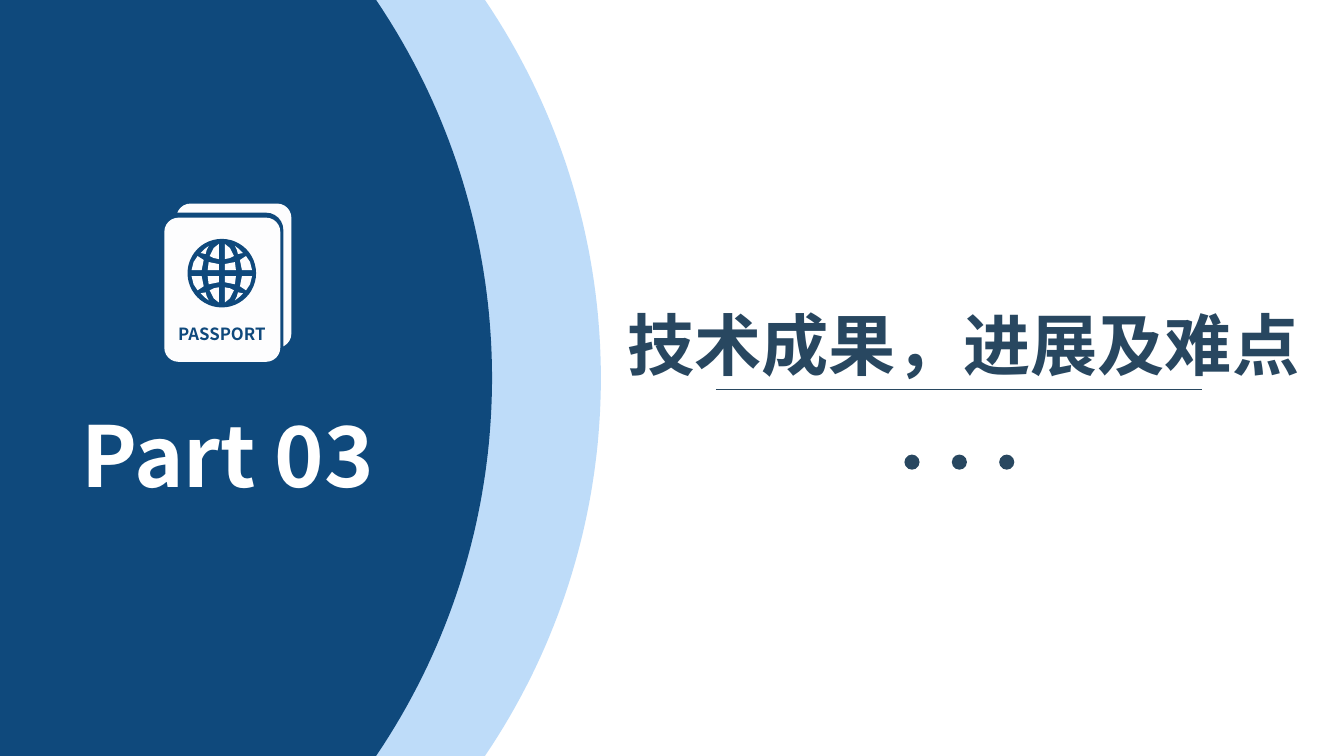
from dataclasses import dataclass
from itertools import product
from math import sqrt

from lxml import etree
from pptx import Presentation
from pptx.dml.color import RGBColor
from pptx.enum.shapes import MSO_CONNECTOR, MSO_SHAPE
from pptx.enum.text import MSO_ANCHOR, PP_ALIGN
from pptx.oxml.ns import qn
from pptx.util import Emu, Pt

PX = 9144
WIDTH, HEIGHT = 1333, 750
FONT = "Noto Sans CJK SC"
NAVY, SKY, SLATE = "0F497C", "BEDCF9", "284760"
WHITE, PAPER = "FFFFFF", "FDFDFE"
OVAL, ROUND = MSO_SHAPE.OVAL, MSO_SHAPE.ROUNDED_RECTANGLE
STRAIGHT = MSO_CONNECTOR.STRAIGHT
CENTER, MIDDLE = PP_ALIGN.CENTER, MSO_ANCHOR.MIDDLE


@dataclass
class Box:
    left: int
    top: int
    width: int
    height: int


@dataclass
class Band:
    edge: int
    color: str


@dataclass
class Card:
    box: Box
    curve: int
    color: str


@dataclass
class Label:
    box: Box
    text: str
    size: int
    color: str


@dataclass
class Globe:
    x: int
    y: int
    radius: int
    cells: list[list[tuple[int, int]]]


@dataclass
class Line:
    start: tuple[int, int]
    end: tuple[int, int]
    color: str
    weight: float


BANDS = [Band(596, SKY), Band(488, NAVY)]
CARDS = [
    Card(Box(175, 202, 114, 143), 14, PAPER),
    Card(Box(160, 211, 121, 151), 17, NAVY),
    Card(Box(163, 216, 115, 143), 14, PAPER),
]
GLOBE = Globe(220, 271, 34, [
    [(3, 3), (14, 3), (13, 11), (8, 10), (3, 9)],
    [(20, 3), (30, 3), (28, 11), (24, 17), (18, 13), (19, 8)],
    [(3, 14), (8, 15), (12, 17), (8, 25), (3, 29)],
    [(13, 27), (17, 24), (21, 20), (16, 19), (15, 23)],
])
LABELS = [
    Label(Box(48, 395, 356, 111), "Part 03", 60, WHITE),
    Label(Box(154, 319, 132, 24), "PASSPORT", 12, NAVY),
    Label(Box(608, 295, 695, 91), "技术成果，进展及难点", 48, SLATE),
]
RULE = Line((710, 386), (1192, 386), SLATE, 0.5)


def px(value: float) -> Emu:
    return Emu(round(value * PX))


def rgb(color: str) -> RGBColor:
    return RGBColor.from_string(color)


def paint(shape, color: str) -> None:
    shape.shadow.inherit = False
    shape.fill.solid()
    shape.fill.fore_color.rgb = rgb(color)
    shape.line.fill.background()


def add_preset(slide, kind, box: Box, color: str):
    shape = slide.shapes.add_shape(
        kind, px(box.left), px(box.top), px(box.width), px(box.height))
    paint(shape, color)
    return shape


def add_path(slide, points: list[tuple[float, float]], color: str) -> None:
    spots = [(px(x), px(y)) for x, y in points]
    path = slide.shapes.build_freeform(*spots[0])
    path.add_line_segments(spots[1:], close=True)
    paint(path.convert_to_shape(), color)


def add_band(slide, band: Band) -> None:
    radius, half = 669, HEIGHT // 2
    arc = [(band.edge - radius + sqrt(radius**2 - (y - half)**2), y)
           for y in range(0, HEIGHT + 1, 10)]
    add_path(slide, [(0, 0), *arc, (0, HEIGHT)], band.color)


def add_card(slide, card: Card) -> None:
    shape = add_preset(slide, ROUND, card.box, card.color)
    shape.adjustments[0] = card.curve / card.box.width


def add_globe(slide, globe: Globe) -> None:
    size = 2 * globe.radius
    disc = Box(globe.x - globe.radius, globe.y - globe.radius, size, size)
    add_preset(slide, OVAL, disc, NAVY)
    for cell, across, down in product(globe.cells, (-1, 1), (-1, 1)):
        points = [(globe.x + across * x, globe.y + down * y) for x, y in cell]
        add_path(slide, points, PAPER)


def add_line(slide, line: Line) -> None:
    ends = [px(value) for value in (*line.start, *line.end)]
    shape = slide.shapes.add_connector(STRAIGHT, *ends)
    shape.line.color.rgb = rgb(line.color)
    shape.line.width = Pt(line.weight)
    props = shape._element.find(qn("p:spPr"))
    etree.SubElement(props, qn("a:effectLst"))


def add_label(slide, label: Label) -> None:
    box = label.box
    shape = slide.shapes.add_textbox(
        px(box.left), px(box.top), px(box.width), px(box.height))
    frame = shape.text_frame
    frame.word_wrap = True
    frame.vertical_anchor = MIDDLE
    para = frame.paragraphs[0]
    para.alignment = CENTER
    run = para.add_run()
    run.text = label.text
    font = run.font
    font.size = Pt(label.size)
    font.bold = True
    font.name = FONT
    font.color.rgb = rgb(label.color)
    etree.SubElement(font._element, qn("a:ea"), typeface=FONT)


def main() -> None:
    deck = Presentation()
    deck.slide_width, deck.slide_height = px(WIDTH), px(HEIGHT)
    slide = deck.slides.add_slide(deck.slide_layouts[6])
    for band in BANDS:
        add_band(slide, band)
    for card in CARDS:
        add_card(slide, card)
    add_globe(slide, GLOBE)
    for label in LABELS:
        add_label(slide, label)
    add_line(slide, RULE)
    for step in range(3):
        add_preset(slide, OVAL, Box(897 + 47 * step, 451, 15, 15), SLATE)
    deck.save("out.pptx")


if __name__ == "__main__":
    main()
